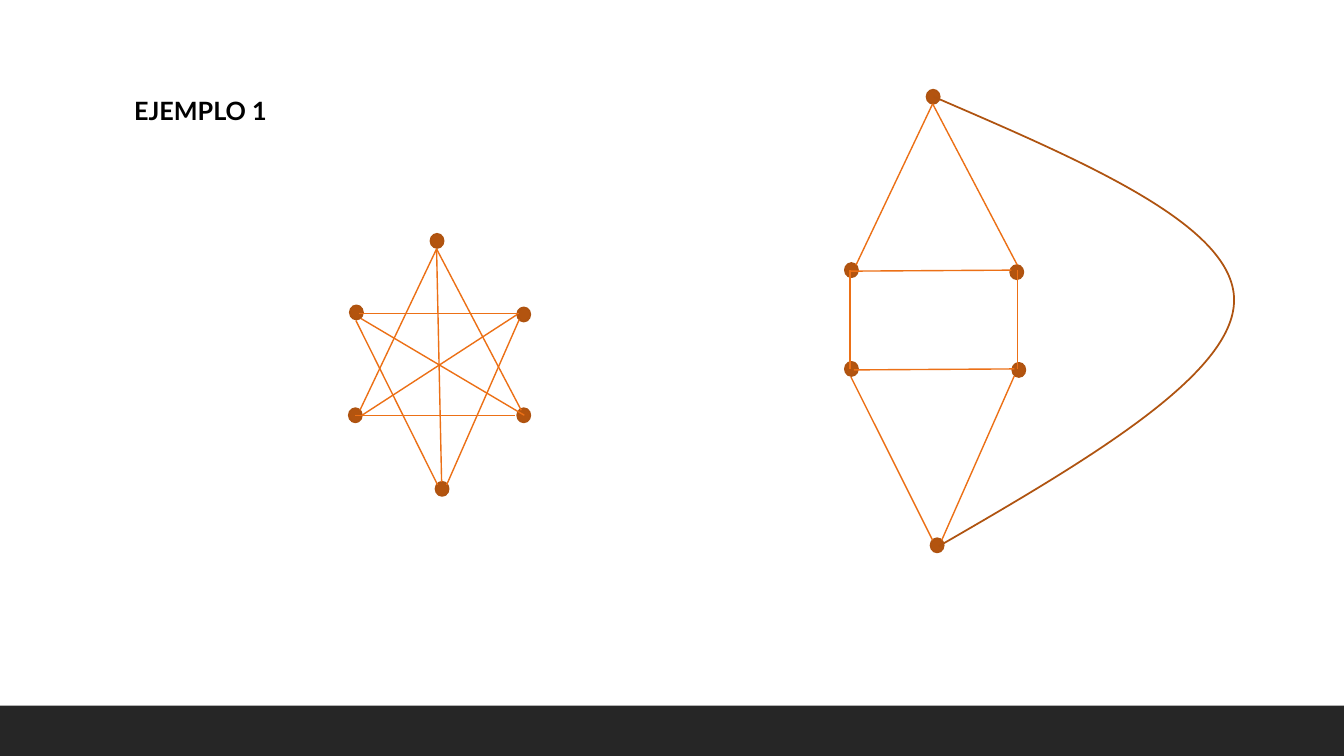
from lxml import etree
from pptx import Presentation
from pptx.dml.color import RGBColor
from pptx.enum import shapes, text
from pptx.oxml import ns
from pptx.util import Inches, Pt

HEADING = "EJEMPLO 1"
DOT_SIZE = (0.13, 0.14)
DOT_FILL, DOT_LINE, EDGE_COLOR = "B3540F", "AF5310", "EC7016"

STAR = {
    "dots": [(5.13, 4.05), (5.13, 3.05), (3.47, 3.03),
             (3.46, 4.05), (4.27, 2.32), (4.32, 4.78)],
    "edges": [
        ((3.56, 3.11), (5.15, 3.11)),
        ((3.52, 4.12), (5.11, 4.12)),
        ((3.58, 3.16), (5.2, 4.12)),
        ((3.59, 4.12), (5.13, 3.12)),
        ((4.33, 2.47), (4.38, 4.78)),
        ((4.33, 2.47), (3.57, 4.07)),
        ((4.33, 2.47), (5.17, 4.07)),
        ((4.43, 4.81), (5.15, 3.17)),
        ((4.34, 4.81), (3.53, 3.18)),
    ],
}
PLANAR = {
    "dots": [(8.38, 2.61), (9.19, 0.89), (10.02, 2.63),
             (10.04, 3.6), (8.38, 3.59), (9.23, 5.34)],
    "edges": [
        ((8.44, 2.69), (10.03, 2.68)),
        ((9.25, 1.03), (8.49, 2.63)),
        ((9.25, 1.03), (10.09, 2.63)),
        ((8.47, 3.67), (10.06, 3.66)),
        ((9.34, 5.36), (10.06, 3.73)),
        ((9.25, 5.36), (8.44, 3.74)),
        ((10.09, 2.68), (10.09, 3.66)),
        ((8.43, 2.68), (8.43, 3.66)),
    ],
}
OUTER_EDGE = [(9.26, 0.96), (10.74, 1.6), (12.23, 2.23), (12.24, 2.97),
              (12.25, 3.71), (10.78, 4.57), (9.31, 5.42)]


def color(value):
    return RGBColor.from_string(value)


def style_line(line, value, width):
    line.color.rgb = color(value)
    line.width = Pt(width)


def add_filled(slide, kind, box, value):
    part = slide.shapes.add_shape(kind, *map(Inches, box))
    part.shadow.inherit = False
    part.fill.solid()
    part.fill.fore_color.rgb = color(value)
    part.line.fill.background()
    return part


def add_heading(slide):
    heading = slide.shapes.title
    heading.left, heading.top, heading.width, heading.height = map(
        Inches, (1.23, 0.9, 4.65, 0.4))
    frame = heading.text_frame
    frame.text = HEADING
    frame.word_wrap = True
    frame.auto_size = text.MSO_AUTO_SIZE.NONE
    frame.vertical_anchor = text.MSO_ANCHOR.MIDDLE
    paragraph = frame.paragraphs[0]
    paragraph.alignment = text.PP_ALIGN.LEFT
    paragraph.font.name = "Lato"
    paragraph.font.size = Pt(18)
    paragraph.font.bold = True
    paragraph.font.color.rgb = color("000000")


def add_graph(slide, graph):
    for corner in graph["dots"]:
        dot = add_filled(slide, shapes.MSO_SHAPE.OVAL, corner + DOT_SIZE, DOT_FILL)
        style_line(dot.line, DOT_LINE, 1.25)
    for start, end in graph["edges"]:
        edge = slide.shapes.add_connector(
            shapes.MSO_CONNECTOR.STRAIGHT, *map(Inches, start + end))
        style_line(edge.line, EDGE_COLOR, 1)
        etree.SubElement(edge._element.spPr, ns.qn("a:effectLst"))


def add_curve(slide, points):
    start, *rest = [tuple(map(Inches, point)) for point in points]
    builder = slide.shapes.build_freeform(*start)
    builder.add_line_segments(rest, close=False)
    curve = builder.convert_to_shape()
    curve.shadow.inherit = False
    curve.fill.background()
    style_line(curve.line, DOT_LINE, 1.25)
    segments = list(curve._element.iter(ns.qn("a:lnTo")))
    outline = segments[0].getparent()
    for first in range(0, len(segments), 3):
        bezier = etree.SubElement(outline, ns.qn("a:cubicBezTo"))
        for segment in segments[first:first + 3]:
            bezier.append(segment[0])
            outline.remove(segment)


def main():
    deck = Presentation()
    deck.slide_width, deck.slide_height = Inches(13.33), Inches(7.5)
    slide = deck.slides.add_slide(deck.slide_layouts[5])
    add_heading(slide)
    add_filled(slide, shapes.MSO_SHAPE.RECTANGLE, (0, 7, 13.33, 0.5), "262626")
    for graph in (STAR, PLANAR):
        add_graph(slide, graph)
    add_curve(slide, OUTER_EDGE)
    deck.save("out.pptx")


if __name__ == "__main__":
    main()
